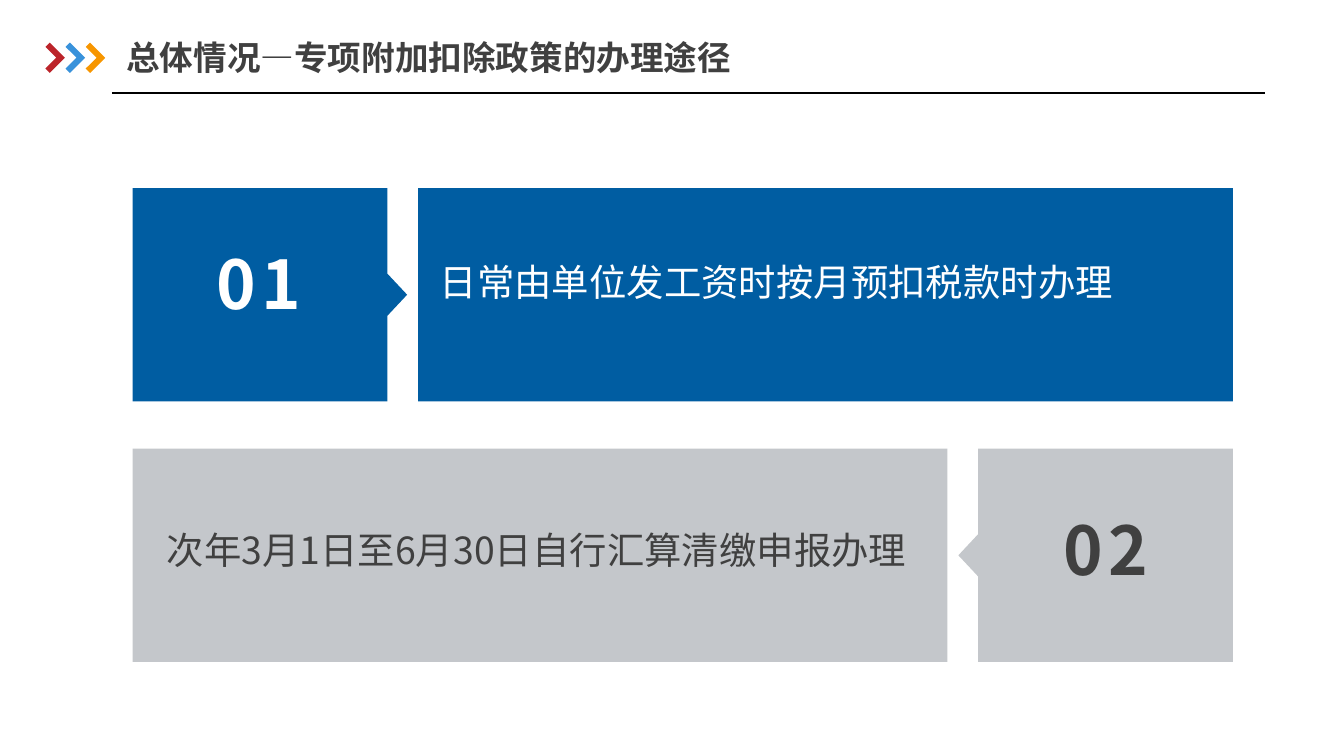
from pptx import Presentation
from pptx.dml.color import RGBColor
from pptx.enum.shapes import MSO_CONNECTOR as Connector, MSO_SHAPE as Shape
from pptx.enum.text import MSO_ANCHOR as Anchor, MSO_AUTO_SIZE as AutoSize, PP_ALIGN as Align
from pptx.oxml.ns import qn
from pptx.util import Pt

FONT = "Noto Sans CJK SC"
BLUE, GREY, DARK, WHITE = "005DA2", "C4C7CB", "404040", "FFFFFF"


def paint(shape, color):
    shape.shadow.inherit = False
    shape.fill.solid()
    shape.fill.fore_color.rgb = RGBColor.from_string(color)
    shape.line.fill.background()


def write(box, text, size, color, bold=False, align=Align.LEFT, inset=0):
    """Fill a box with one styled run and return the run."""
    frame = box.text_frame
    frame.word_wrap = True
    frame.margin_left = frame.margin_right = 0
    frame.margin_top = frame.margin_bottom = Pt(inset)
    para = frame.paragraphs[0]
    para.alignment = align
    para.line_spacing = Pt(size * 1.2)
    span = para.add_run()
    span.text = text
    span.font.size, span.font.bold, span.font.name = Pt(size), bold, FONT
    span.font.color.rgb = RGBColor.from_string(color)
    east_asian = span.font._element.makeelement(qn("a:ea"), {"typeface": FONT})
    span.font._element.find(qn("a:latin")).addnext(east_asian)
    return span


deck = Presentation()
deck.slide_width, deck.slide_height = Pt(720), Pt(405)
page = deck.slides.add_slide(deck.slide_layouts[5])

# Header: title, rule and three chevrons
title = page.shapes.title
title.left, title.top, title.width, title.height = Pt(67.7), Pt(16), Pt(371.5), Pt(29.5)
write(title, "总体情况—专项附加扣除政策的办理途径", 18, DARK, bold=True, inset=3.6)
title.text_frame.vertical_anchor = Anchor.MIDDLE
title.text_frame.auto_size = AutoSize.NONE

rule = page.shapes.add_connector(Connector.STRAIGHT, Pt(60), Pt(49.8), Pt(677.5), Pt(49.8))
rule.line.color.rgb = RGBColor.from_string("000000")
rule.line.width = Pt(0.75)
properties = rule._element.spPr
properties.append(properties.makeelement(qn("a:effectLst"), {}))

for index, color in enumerate(["BC242A", "3992DB", "F79600"]):
    chevron = page.shapes.add_shape(Shape.CORNER, Pt(20.9 + 10.8 * index), Pt(25.2), Pt(11.5), Pt(11.5))
    chevron.adjustments[0], chevron.adjustments[1] = 0.28, 0.29
    chevron.rotation = 225
    paint(chevron, color)

# Two rows: a number tag pointing away from its edge, and a wide panel
TAG_WIDTH, PANEL_WIDTH, ROW_HEIGHT = 136.5, 436.5, 114.2
TIP, TIP_HALF = 10.6, 11.3
LEFT, RIGHT = 71, 660.5
rows = [
    # number, fill, ink, top, tag outer edge, direction, panel left, number box, text, text box
    ("01", BLUE, WHITE, 100.8, LEFT, 1, RIGHT - PANEL_WIDTH, (104.4, 129.6),
     "日常由单位发工资时按月预扣税款时办理", (235.6, 139, 442)),
    ("02", GREY, DARK, 240.4, RIGHT, -1, LEFT, (558, 272.2),
     "次年3月1日至6月30日自行汇算清缴申报办理", (89.3, 282.2, 399.6)),
]
for number, fill, ink, top, outer, direction, panel_left, number_at, text, text_at in rows:
    panel = page.shapes.add_shape(Shape.RECTANGLE, Pt(panel_left), Pt(top), Pt(PANEL_WIDTH), Pt(ROW_HEIGHT))
    paint(panel, fill)

    inner = outer + direction * TAG_WIDTH
    middle, bottom = top + ROW_HEIGHT / 2, top + ROW_HEIGHT
    outline = page.shapes.build_freeform(Pt(outer), Pt(top))
    corners = [(inner, top), (inner, middle - TIP_HALF), (inner + direction * TIP, middle),
               (inner, middle + TIP_HALF), (inner, bottom), (outer, bottom)]
    outline.add_line_segments([(Pt(x), Pt(y)) for x, y in corners], close=True)
    paint(outline.convert_to_shape(), fill)

    number_left, number_top = number_at
    number_box = page.shapes.add_textbox(Pt(number_left), Pt(number_top), Pt(69), Pt(43.2))
    span = write(number_box, number, 36, ink, bold=True, align=Align.CENTER)
    span.font._element.set("spc", "300")

    text_left, text_top, text_width = text_at
    text_box = page.shapes.add_textbox(Pt(text_left), Pt(text_top), Pt(text_width), Pt(24))
    write(text_box, text, 20, ink)

deck.save("out.pptx")
